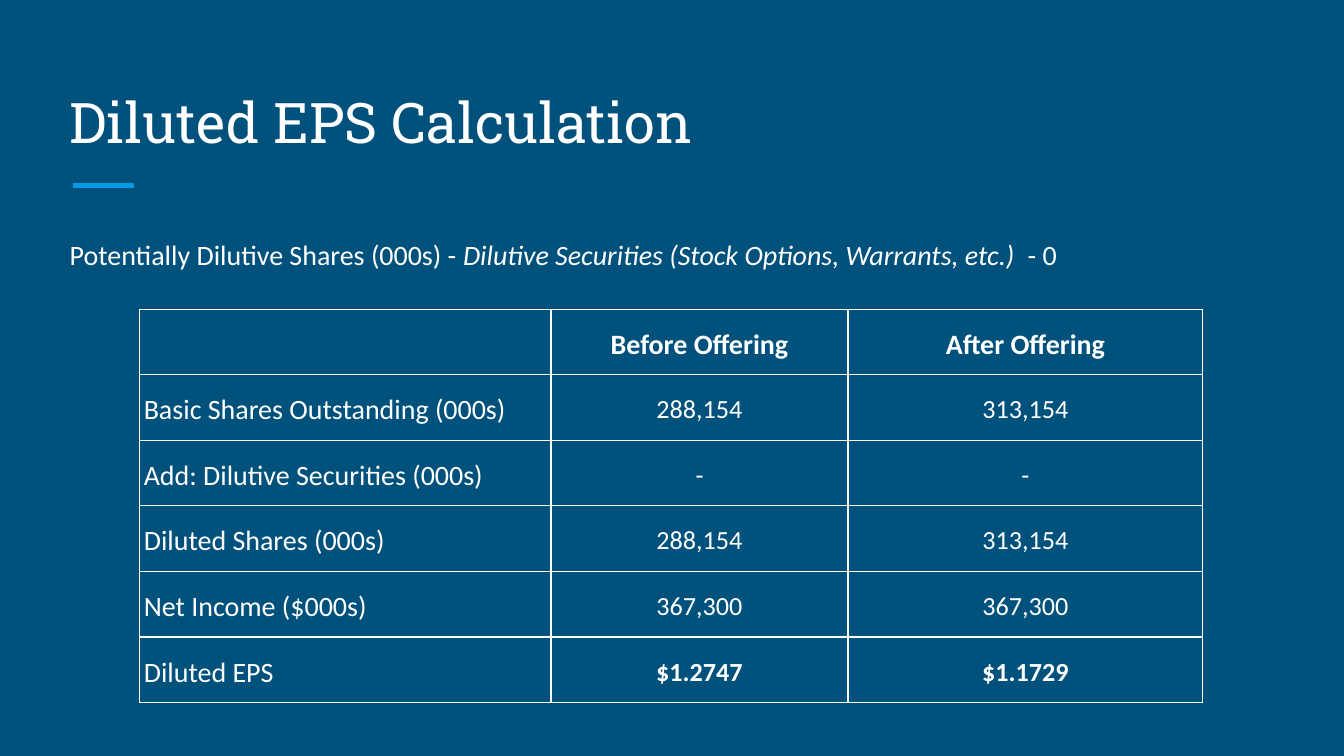
from dataclasses import dataclass

from lxml.etree import SubElement
from pptx import Presentation
from pptx.dml.color import RGBColor
from pptx.enum.shapes import MSO_CONNECTOR
from pptx.enum.text import MSO_ANCHOR, PP_ALIGN
from pptx.oxml.ns import qn
from pptx.util import Inches, Pt


@dataclass(frozen=True)
class Theme:
    background: RGBColor = RGBColor(0x00, 0x51, 0x7C)
    accent: RGBColor = RGBColor(0x03, 0x9B, 0xE5)
    text: RGBColor = RGBColor(0xFF, 0xFF, 0xFF)
    title_font: str = "Roboto Slab"
    body_font: str = "Calibri"
    title_size: float = 30
    body_size: float = 15
    figure_size: float = 14
    line_spacing: float = 1.15
    border_width: float = 0.75


@dataclass(frozen=True)
class Row:
    label: str
    before: str
    after: str
    bold: bool = False


THEME = Theme()
HEADER = Row("", "Before Offering", "After Offering", bold=True)
ROWS = [
    Row("Basic Shares Outstanding (000s)", "288,154", "313,154"),
    Row("Add: Dilutive Securities (000s)", "-", "-"),
    Row("Diluted Shares (000s)", "288,154", "313,154"),
    Row("Net Income ($000s)", "367,300", "367,300"),
    Row("Diluted EPS", "$1.2747", "$1.1729", bold=True),
]
COLUMN_WIDTHS = [3.06, 2.21, 2.64]
ROW_HEIGHT = 0.42  # least height; rows grow to fit their text


def style_font(font, size: float, name: str = THEME.body_font, bold: bool = False) -> None:
    font.name = name
    font.size = Pt(size)
    font.bold = bold
    font.color.rgb = THEME.text


def add_text_box(slide, top: float, height: float, anchor: MSO_ANCHOR):
    box = slide.shapes.add_textbox(Inches(0.42), Inches(top), Inches(9.15), Inches(height))
    frame = box.text_frame
    frame.word_wrap = True
    frame.vertical_anchor = anchor
    frame.margin_left = frame.margin_right = Inches(0.1)
    frame.margin_top = frame.margin_bottom = Inches(0.1)
    return frame.paragraphs[0]


def add_accent_line(slide) -> None:
    line = slide.shapes.add_connector(
        MSO_CONNECTOR.STRAIGHT, Inches(0.54), Inches(1.38), Inches(1), Inches(1.38))
    line.line.color.rgb = THEME.accent
    line.line.width = Pt(3)
    SubElement(line._element.spPr, qn("a:effectLst"))


def set_borders(cell) -> None:
    properties = cell._tc.get_or_add_tcPr()
    for position, side in enumerate(("a:lnL", "a:lnR", "a:lnT", "a:lnB")):
        border = SubElement(properties, qn(side), w=str(Pt(THEME.border_width)))
        fill = SubElement(border, qn("a:solidFill"))
        SubElement(fill, qn("a:srgbClr"), val=str(THEME.text))
        properties.insert(position, border)


def fill_cell(cell, text: str, size: float, bold: bool, centred: bool,
              anchor: MSO_ANCHOR) -> None:
    cell.fill.solid()
    cell.fill.fore_color.rgb = THEME.background
    set_borders(cell)
    cell.margin_left = cell.margin_right = Inches(0.03)
    cell.margin_top = cell.margin_bottom = Inches(0.1)
    cell.vertical_anchor = anchor
    para = cell.text_frame.paragraphs[0]
    para.text = text
    para.alignment = PP_ALIGN.CENTER if centred else PP_ALIGN.LEFT
    para.line_spacing = THEME.line_spacing
    style_font(para.font, size, bold=bold)
    for span in para.runs:
        style_font(span.font, size, bold=bold)


def add_eps_table(slide) -> None:
    rows = [HEADER, *ROWS]
    table = slide.shapes.add_table(
        len(rows), len(COLUMN_WIDTHS), Inches(1.04), Inches(2.3),
        Inches(sum(COLUMN_WIDTHS)), Inches(ROW_HEIGHT * len(rows))).table
    for column, width in zip(table.columns, COLUMN_WIDTHS):
        column.width = Inches(width)
    for index, row in enumerate(rows):
        table.rows[index].height = Inches(ROW_HEIGHT)
        is_header = row is HEADER
        size = THEME.body_size if is_header else THEME.figure_size
        anchor = MSO_ANCHOR.BOTTOM if is_header else MSO_ANCHOR.MIDDLE
        fill_cell(table.cell(index, 0), row.label, THEME.body_size, False, False,
                  MSO_ANCHOR.BOTTOM)
        for column, figure in enumerate((row.before, row.after), start=1):
            fill_cell(table.cell(index, column), figure, size, row.bold, True, anchor)


def main() -> None:
    # Widescreen page, 16 to 9
    deck = Presentation()
    deck.slide_width = Inches(10)
    deck.slide_height = Inches(10 * 9 / 16)
    page = deck.slides.add_slide(deck.slide_layouts[6])
    page.background.fill.solid()
    page.background.fill.fore_color.rgb = THEME.background

    # Title with its accent line
    add_accent_line(page)
    title = add_text_box(page, 0.5, 0.75, MSO_ANCHOR.BOTTOM)
    title.text = "Diluted EPS Calculation"
    style_font(title.runs[0].font, THEME.title_size, THEME.title_font)

    # Statement on dilutive shares
    statement = add_text_box(page, 1.63, 3.37, MSO_ANCHOR.TOP)
    statement.line_spacing = THEME.line_spacing
    for text, italic in (
        ("Potentially Dilutive Shares (000s) - ", False),
        ("Dilutive Securities (Stock Options, Warrants, etc.) ", True),
        (" - 0", False),
    ):
        span = statement.add_run()
        span.text = text
        style_font(span.font, THEME.body_size)
        span.font.italic = italic

    # Earnings per share before and after the offering
    add_eps_table(page)
    deck.save("out.pptx")


if __name__ == "__main__":
    main()
